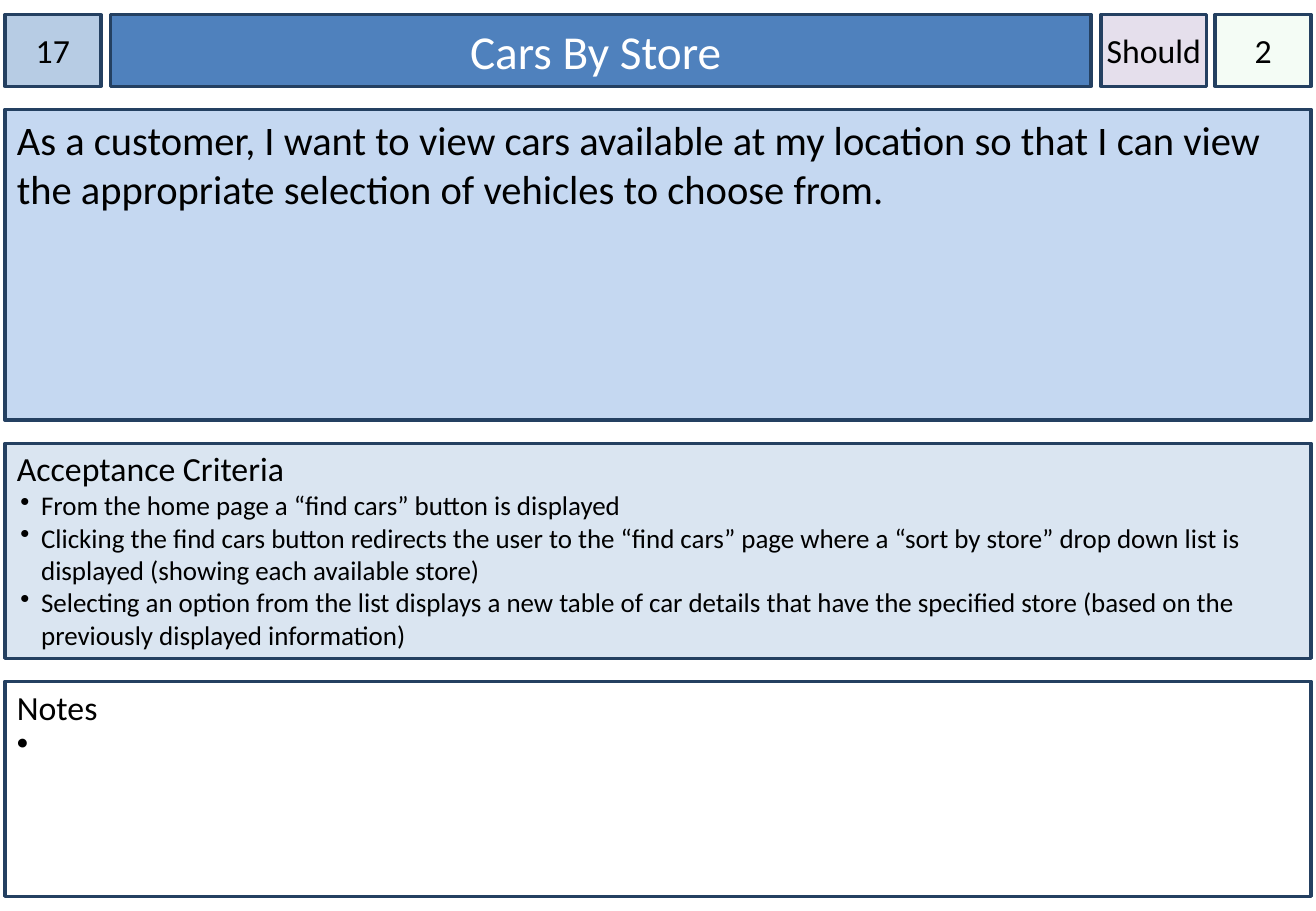
from lxml.etree import SubElement
from pptx import Presentation
from pptx.dml.color import RGBColor
from pptx.enum.shapes import MSO_SHAPE as Shape
from pptx.enum.text import MSO_ANCHOR as Anchor, PP_ALIGN as Align
from pptx.oxml.ns import qn
from pptx.util import Inches, Pt

# Content
HEADER = [  # text, left, width, side inset, style
    ("17", 0.04, 0.79, 0, "number"),
    ("Cars By Store ", 0.91, 8.07, 0.1, "title"),
    ("Should", 9.06, 0.87, 0, "priority"),
    ("2", 10, 0.79, 0, "estimate"),
]
STORY = ("As a customer, I want to view cars available at my location so that "
         "I can view the appropriate selection of vehicles to choose from.")
CRITERIA = [
    "From the home page a “find cars” button is displayed",
    "Clicking the find cars button redirects the user to the “find cars” page where "
    "a “sort by store” drop down list is displayed (showing each available store)",
    "Selecting an option from the list displays a new table of car details that have "
    "the specified store (based on the previously displayed information)",
]
PANELS = [  # heading, bullets, height, top inset, bullet hang, style
    (STORY, [], 2.56, 0.05, 0, "story"),
    ("Acceptance Criteria", CRITERIA, 1.77, 0.04, 0.17, "criteria"),
    ("Notes", [" "], 1.77, 0.04, 0.2, "notes"),
]

# Theme: each style is fill, text colour, heading size, bullet size
THEME = {
    "font": "Calibri",
    "line": "244061",
    "line_width": 2,
    "estimate_opacity": 20,
    "number": ("B7CCE4", "000000", 20, None),
    "title": ("4F81BD", "FFFFFF", 28, None),
    "priority": ("E5DFEC", "000000", 20, None),
    "estimate": ("CCF0CD", "000000", 20, None),
    "story": ("C5D8F1", "000000", 24, None),
    "criteria": ("DAE5F1", "000000", 20, 16),
    "notes": ("FFFFFF", "000000", 20, 20),
}

# Layout
HEADER_TOP, HEADER_HEIGHT = 0.12, 0.59
PANEL_LEFT, PANEL_WIDTH, PANEL_GAP = 0.04, 10.75, 0.19
BULLET_INDENT = 0.2


def add_box(page, place, style, insets, anchor):
    box = page.shapes.add_shape(Shape.RECTANGLE, *map(Inches, place))
    box.shadow.inherit = False
    box.fill.solid()
    box.fill.fore_color.rgb = RGBColor.from_string(THEME[style][0])
    box.line.color.rgb = RGBColor.from_string(THEME["line"])
    box.line.width = Pt(THEME["line_width"])
    frame = box.text_frame
    frame.word_wrap = True
    frame.vertical_anchor = anchor
    side, top = insets
    frame.margin_left = frame.margin_right = Inches(side)
    frame.margin_top, frame.margin_bottom = Inches(top), Inches(0.05)
    return box


def write(para, text, style, size, align):
    para.text = text
    para.alignment = align
    for span in para.runs:
        span.font.name = THEME["font"]
        span.font.size = Pt(size)
        span.font.color.rgb = RGBColor.from_string(THEME[style][1])


def add_bullet(para, hang, color):
    properties = para._p.get_or_add_pPr()
    properties.set("marL", str(Inches(BULLET_INDENT)))
    properties.set("indent", str(-Inches(hang)))
    bullet_color = SubElement(properties, qn("a:buClr"))
    SubElement(bullet_color, qn("a:srgbClr"), val=color)
    SubElement(properties, qn("a:buChar"), char="•")


def set_opacity(box, percent):
    color = box.fill._xPr.find(qn("a:solidFill"))[0]
    SubElement(color, qn("a:alpha"), val=str(percent * 1000))


def main():
    deck = Presentation()
    deck.slide_width, deck.slide_height = Inches(10.83), Inches(7.5)
    page = deck.slides.add_slide(deck.slide_layouts[6])

    # Header row
    for text, left, width, side, style in HEADER:
        place = (left, HEADER_TOP, width, HEADER_HEIGHT)
        box = add_box(page, place, style, (side, 0.05), Anchor.MIDDLE)
        write(box.text_frame.paragraphs[0], text, style, THEME[style][2], Align.CENTER)
        if style == "estimate":
            set_opacity(box, THEME["estimate_opacity"])

    # Stacked panels
    top = HEADER_TOP + HEADER_HEIGHT + PANEL_GAP
    for heading, bullets, height, inset, hang, style in PANELS:
        place = (PANEL_LEFT, top, PANEL_WIDTH, height)
        frame = add_box(page, place, style, (0.1, inset), Anchor.TOP).text_frame
        _, color, heading_size, bullet_size = THEME[style]
        write(frame.paragraphs[0], heading, style, heading_size, Align.LEFT)
        for bullet in bullets:
            para = frame.add_paragraph()
            add_bullet(para, hang, color)
            write(para, bullet, style, bullet_size, Align.LEFT)
        top += height + PANEL_GAP

    deck.save("out.pptx")


if __name__ == "__main__":
    main()
